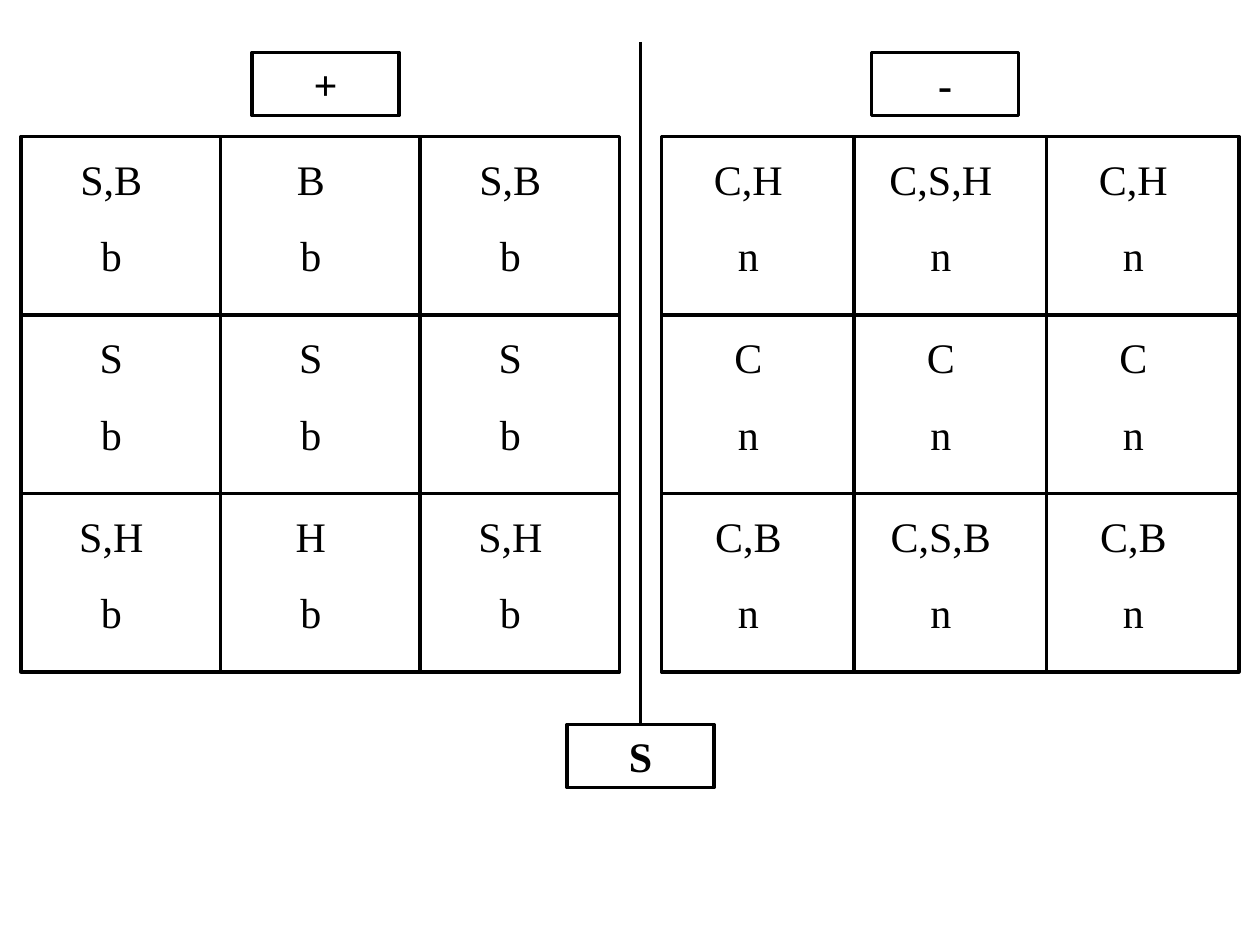
"""Builds a slide with two three-by-three grids of symbols under plus and minus, split by S."""
from dataclasses import dataclass

from lxml.etree import SubElement
from pptx import Presentation
from pptx.dml.color import RGBColor
from pptx.enum.shapes import MSO_CONNECTOR, MSO_SHAPE
from pptx.enum.text import MSO_ANCHOR, MSO_AUTO_SIZE as AutoSize, PP_ALIGN
from pptx.oxml.ns import qn
from pptx.shapes.autoshape import Shape
from pptx.shapes.connector import Connector
from pptx.slide import Slide
from pptx.util import Inches, Pt

COLORS = {"ink": "000000"}
FONT = "Times New Roman"
SLIDE_WIDTH, SLIDE_HEIGHT = Inches(10), Inches(7.5)
COLUMNS, ROWS = 120, 90
CELL_HEIGHT = 17
TEXT_DROP, TEXT_TRIM, TEXT_HEIGHT = 1, 1.8, 13.3


@dataclass(frozen=True)
class Box:
    left: float
    top: float
    width: float
    height: float

    def emu(self) -> tuple[int, int, int, int]:
        return across(self.left), down(self.top), across(self.width), down(self.height)


@dataclass(frozen=True)
class SymbolGrid:
    left: float
    top: float
    cell_width: float
    lower: str
    uppers: tuple[tuple[str, ...], ...]


@dataclass(frozen=True)
class Label:
    text: str
    left: float
    top: float


GRIDS = (
    SymbolGrid(2, 13, 19, "b", (("S,B", "B", "S,B"), ("S", "S", "S"), ("S,H", "H", "S,H"))),
    SymbolGrid(63, 13, 55 / 3, "n", (("C,H", "C,S,H", "C,H"), ("C", "C", "C"), ("C,B", "C,S,B", "C,B"))),
)
SIGNS = (Label("+", 24, 5), Label("-", 83, 5))
SPLIT = Label("S", 54, 69)


def across(columns: float) -> int:
    return round(SLIDE_WIDTH * columns / COLUMNS)


def down(rows: float) -> int:
    return round(SLIDE_HEIGHT * rows / ROWS)


def style_line(shape: Shape | Connector) -> None:
    shape.line.color.rgb = RGBColor.from_string(COLORS["ink"])
    shape.line.width = Pt(2)


def add_frame(slide: Slide, box: Box) -> Shape:
    frame = slide.shapes.add_shape(MSO_SHAPE.RECTANGLE, *box.emu())
    frame.shadow.inherit = False
    frame.fill.background()
    style_line(frame)
    return frame


def write_lines(shape: Shape, lines: tuple[str, ...], bold: bool = False) -> None:
    text_frame = shape.text_frame
    text_frame.word_wrap = True
    text_frame.auto_size = AutoSize.SHAPE_TO_FIT_TEXT
    text_frame.vertical_anchor = MSO_ANCHOR.TOP
    text_frame.text = "\n".join(lines)
    for paragraph in text_frame.paragraphs:
        paragraph.alignment = PP_ALIGN.CENTER
        paragraph.space_before = Pt(15)
        paragraph.font.name = FONT
        paragraph.font.size = Pt(24)
        paragraph.font.bold = bold
        paragraph.font.color.rgb = RGBColor.from_string(COLORS["ink"])


def add_grid(slide: Slide, grid: SymbolGrid) -> None:
    for row, uppers in enumerate(grid.uppers):
        for column, upper in enumerate(uppers):
            left = grid.left + column * grid.cell_width
            top = grid.top + row * CELL_HEIGHT
            add_frame(slide, Box(left, top, grid.cell_width, CELL_HEIGHT))
            text_area = Box(left, top + TEXT_DROP, grid.cell_width - TEXT_TRIM, TEXT_HEIGHT)
            write_lines(slide.shapes.add_textbox(*text_area.emu()), (upper, grid.lower))


def add_label(slide: Slide, label: Label) -> Shape:
    shape = add_frame(slide, Box(label.left, label.top, 14, 6))
    write_lines(shape, (label.text,), bold=True)
    return shape


def add_divider(slide: Slide, column: float, top: float, target: Shape) -> None:
    divider = slide.shapes.add_connector(
        MSO_CONNECTOR.STRAIGHT, across(column), down(top), across(column), target.top
    )
    divider.end_connect(target, 0)
    style_line(divider)
    SubElement(divider._element.spPr, qn("a:effectLst"))


def main() -> None:
    presentation = Presentation()
    presentation.slide_width, presentation.slide_height = SLIDE_WIDTH, SLIDE_HEIGHT
    slide = presentation.slides.add_slide(presentation.slide_layouts[6])
    for grid in GRIDS:
        add_grid(slide, grid)
    for sign in SIGNS:
        add_label(slide, sign)
    add_divider(slide, 61, 4, add_label(slide, SPLIT))
    presentation.save("out.pptx")


if __name__ == "__main__":
    main()
